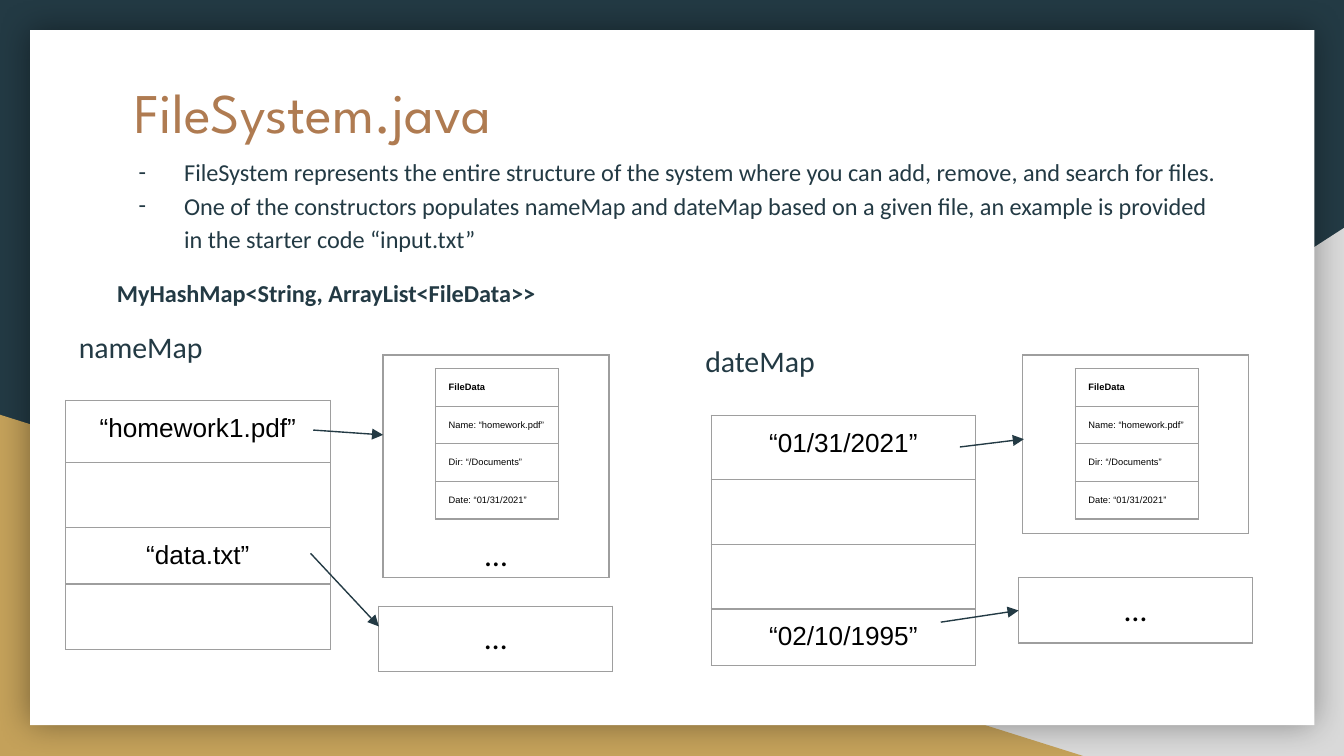
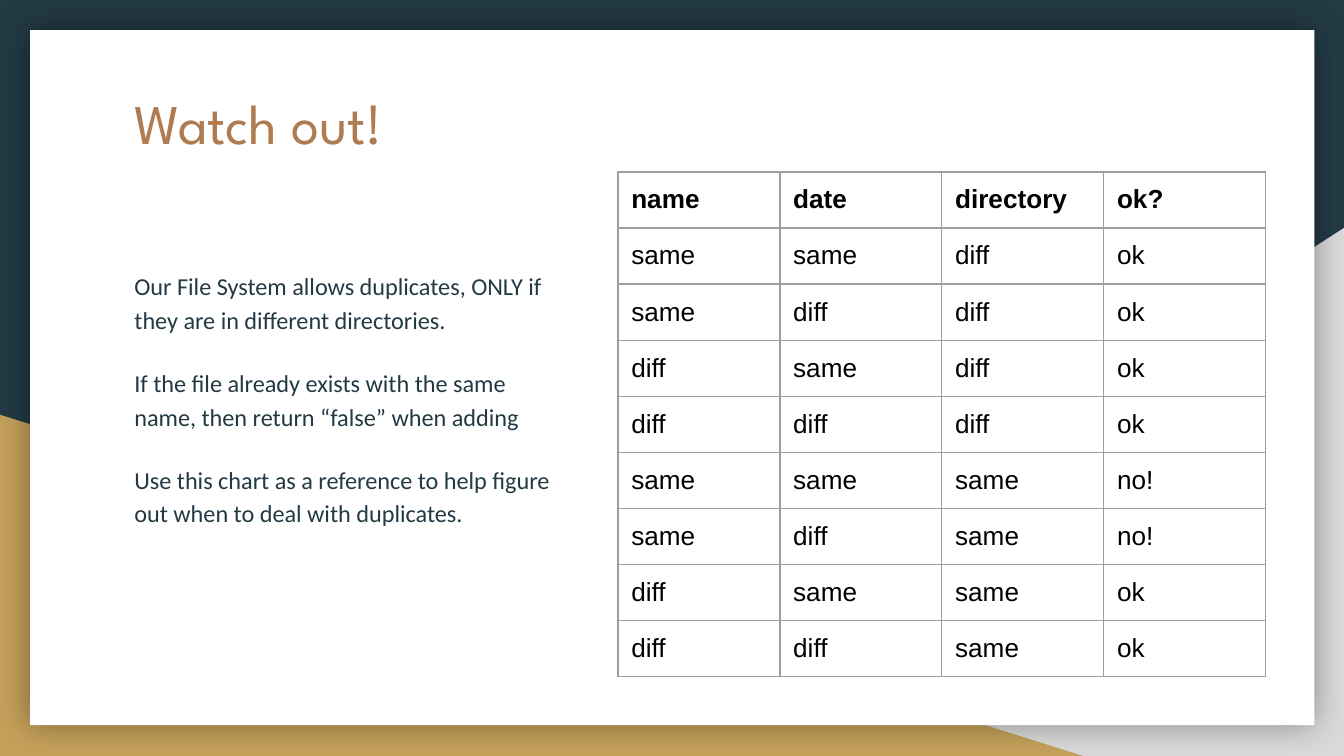
import dataclasses

import pptx
import pptx.dml.color
import pptx.enum.dml
import pptx.enum.shapes
import pptx.enum.text
import pptx.oxml.ns
import pptx.util
from lxml import etree

Cm = pptx.util.Cm
Pt = pptx.util.Pt
qn = pptx.oxml.ns.qn
RGBColor = pptx.dml.color.RGBColor
ALIGN = pptx.enum.text.PP_ALIGN
SHAPE = pptx.enum.shapes.MSO_SHAPE

NAVY = RGBColor(0x23, 0x3A, 0x44)
GOLD = RGBColor(0xC4, 0xA1, 0x5A)
SILVER = RGBColor(0xD9, 0xD9, 0xD9)
BRONZE = RGBColor(0xAF, 0x7B, 0x51)
GRID = RGBColor(0x9E, 0x9E, 0x9E)
WHITE = RGBColor(0xFF, 0xFF, 0xFF)
BLACK = RGBColor(0, 0, 0)

TITLE_FONT, BODY_FONT, TABLE_FONT = "League Spartan", "Calibri", "Arial"
INSET = Cm(0.25)

FILE_CARD = ["FileData", "Name: “homework.pdf”", "Dir: “/Documents”",
             "Date: “01/31/2021”"]
DUPLICATES = [
    ["name", "date", "directory", "ok?"],
    ["same", "same", "diff", "ok"],
    ["same", "diff", "diff", "ok"],
    ["diff", "same", "diff", "ok"],
    ["diff", "diff", "diff", "ok"],
    ["same", "same", "same", "no!"],
    ["same", "diff", "same", "no!"],
    ["diff", "same", "same", "ok"],
    ["diff", "diff", "same", "ok"],
]


@dataclasses.dataclass
class MapDiagram:
    """A hash map and its lists; all offsets are cm from left, top."""
    label: str
    left: float
    top: float
    keys: list
    key_heights: list
    keys_at: tuple
    files_at: tuple
    files_height: float
    more_at: tuple
    arrows: list
    has_dots: bool = False


NAME_MAP = MapDiagram(
    "nameMap", 1.24, 5.87, ["“homework1.pdf”", "", "“data.txt”", ""],
    [1.17, 1.23, 1.07, 1.23], (0, 1.7), (6, 0.84), 4.2, (5.92, 5.59),
    [(4.68, 2.26, 6, 2.35), (4.63, 4.59, 5.92, 5.97)], has_dots=True)
DATE_MAP = MapDiagram(
    "dateMap", 13.08, 6.12, ["“01/31/2021”", "", "", "“02/10/1995”"],
    [1.22, 1.22, 1.22, 1.07], (0.36, 1.73), (6.25, 0.59), 3.38, (6.17, 4.8),
    [(5.06, 2.33, 6.27, 2.18), (4.7, 5.64, 6.17, 5.42)])


def style_font(para, name, size, color, bold=False):
    font = para.font
    font.name, font.size, font.bold = name, Pt(size), bold
    font.color.rgb = color


def prepare_frame(shape):
    """Give a text shape the common insets, wrapping and top anchor."""
    frame = shape.text_frame
    frame.word_wrap = True
    frame.auto_size = pptx.enum.text.MSO_AUTO_SIZE.NONE
    frame.vertical_anchor = pptx.enum.text.MSO_ANCHOR.TOP
    frame.margin_left = frame.margin_right = INSET
    frame.margin_top = frame.margin_bottom = INSET
    return frame


def place(shape, left, top, width, height):
    shape.left, shape.top = Cm(left), Cm(top)
    shape.width, shape.height = Cm(width), Cm(height)


def add_background(deck, page):
    """Draw the backdrop and move it behind everything on the master."""
    master = deck.slide_master
    master.background.fill.solid()
    master.background.fill.fore_color.rgb = NAVY
    parts = [
        (SHAPE.RIGHT_TRIANGLE, SILVER, (9.96, 4.31, 15.44, 9.98)),
        (SHAPE.RIGHT_TRIANGLE, GOLD, (0, 7.84, 20.47, 6.45)),
        (SHAPE.RECTANGLE, WHITE, (0.57, 0.57, 24.27, 13.14)),
    ]
    shapes = []
    for order, (kind, color, box) in enumerate(parts):
        shape = page.shapes.add_shape(kind, *map(Cm, box))
        shape.fill.solid()
        shape.fill.fore_color.rgb = color
        shape.line.fill.background()
        shape.shadow.inherit = False
        shape.element.nvSpPr.cNvPr.set("id", str(101 + order))
        shapes.append(shape)
    corner, _, panel = shapes
    corner.element.spPr.find(qn("a:xfrm")).set("flipH", "1")
    effects = panel.element.spPr.find(qn("a:effectLst"))
    shadow = etree.SubElement(effects, qn("a:outerShdw"), blurRad=str(Pt(18)),
                              dist="0", dir="0", algn="ctr", rotWithShape="0")
    tint = etree.SubElement(shadow, qn("a:srgbClr"), val=str(BLACK))
    etree.SubElement(tint, qn("a:alpha"), val="40000")
    for order, shape in enumerate(shapes):
        master.shapes.element.insert(2 + order, shape.element)


def set_title(page, text, top):
    place(page.shapes.title, 2.29, top, 20.85, 2.64)
    frame = prepare_frame(page.shapes.title)
    frame.text = text
    para = frame.paragraphs[0]
    para.alignment = ALIGN.LEFT
    style_font(para, TITLE_FONT, 30, BRONZE)


def write_body(shape, paragraphs):
    """Fill a frame from (text, space before, is bullet, is bold, size)."""
    frame = prepare_frame(shape)
    for order, (text, before, bullet, bold, size) in enumerate(paragraphs):
        para = frame.add_paragraph() if order else frame.paragraphs[0]
        para.text = text
        props = para._p.get_or_add_pPr()
        props.set("marL", str(Cm(1.27) if bullet else 0))
        props.set("indent", str(Cm(-0.86) if bullet else 0))
        if bullet:
            tint = etree.SubElement(props, qn("a:buClr"))
            etree.SubElement(tint, qn("a:srgbClr"), val=str(NAVY))
            etree.SubElement(props, qn("a:buFont"), typeface=BODY_FONT)
            etree.SubElement(props, qn("a:buChar"), char="-")
        else:
            etree.SubElement(props, qn("a:buNone"))
        para.alignment = ALIGN.LEFT
        para.line_spacing = 1.15
        para.space_before = Pt(before)
        style_font(para, BODY_FONT, size, NAVY, bold)


def format_cell(cell):
    props = cell._tc.get_or_add_tcPr()
    for side in ("lnL", "lnR", "lnT", "lnB"):
        line = etree.SubElement(props, qn("a:" + side), w=str(Pt(0.75)))
        fill = etree.SubElement(line, qn("a:solidFill"))
        etree.SubElement(fill, qn("a:srgbClr"), val=str(GRID))
    cell.fill.background()


def add_grid(page, left, top, col_width, heights, rows, size=14,
             font=TABLE_FONT, align=ALIGN.LEFT, header=False):
    """Add a plain ruled table with equal columns."""
    columns = len(rows[0])
    table = page.shapes.add_table(
        len(rows), columns, Cm(left), Cm(top), Cm(col_width * columns),
        Cm(sum(heights))).table
    table.first_row = table.horz_banding = False
    for column in table.columns:
        column.width = Cm(col_width)
    for r, (height, texts) in enumerate(zip(heights, rows)):
        table.rows[r].height = Cm(height)
        for c, text in enumerate(texts):
            cell = table.cell(r, c)
            format_cell(cell)
            if text:
                cell.margin_left = cell.margin_right = INSET
                cell.margin_top = cell.margin_bottom = INSET
                cell.text = text
            para = cell.text_frame.paragraphs[0]
            para.alignment = align
            style_font(para, font, size, BLACK, header and r == 0)


def add_arrow(page, start_x, start_y, end_x, end_y):
    arrow = page.shapes.add_connector(
        pptx.enum.shapes.MSO_CONNECTOR.STRAIGHT,
        Cm(start_x), Cm(start_y), Cm(end_x), Cm(end_y))
    arrow.line.color.rgb = NAVY
    arrow.line.width = Pt(0.75)
    etree.SubElement(arrow.line._get_or_add_ln(), qn("a:tailEnd"),
                     type="triangle")
    etree.SubElement(arrow.element.spPr, qn("a:effectLst"))


def add_dots(page, left, top):
    box = page.shapes.add_textbox(Cm(left), Cm(top), Cm(2.95), Cm(1.24))
    frame = prepare_frame(box)
    frame.text = "…"
    para = frame.paragraphs[0]
    para.alignment = ALIGN.CENTER
    style_font(para, BODY_FONT, 17, BLACK)


def add_map(page, diagram):
    def at(offset):
        return diagram.left + offset[0], diagram.top + offset[1]

    label = page.shapes.add_textbox(Cm(diagram.left), Cm(diagram.top),
                                    Cm(7.75), Cm(6.81))
    write_body(label, [(diagram.label, 0, False, False, 16)])
    add_grid(page, *at(diagram.keys_at), 5, diagram.key_heights,
             [[key] for key in diagram.keys], align=ALIGN.CENTER)
    left, top = at(diagram.files_at)
    add_grid(page, left, top, 4.27, [diagram.files_height], [[""]])
    add_grid(page, left + 0.99, top + 0.26, 2.33, [0.71] * len(FILE_CARD),
             [[line] for line in FILE_CARD], size=5, header=True)
    if diagram.has_dots:
        add_dots(page, left + 0.66, top + 3.15)
    add_grid(page, *at(diagram.more_at), 4.42, [1.23], [["…"]], size=17,
             font=BODY_FONT, align=ALIGN.CENTER)
    for arrow in diagram.arrows:
        add_arrow(page, *at(arrow[:2]), *at(arrow[2:]))


def build_file_system(page):
    set_title(page, "FileSystem.java", 1.22)
    body = page.placeholders[1]
    place(body, 1.96, 2.64, 21.49, 3.28)
    write_body(body, [
        ("FileSystem represents the entire structure of the system where you "
         "can add, remove, and search for files.", 0, True, False, 13),
        ("One of the constructors populates nameMap and dateMap based on a "
         "given file, an example is provided in the starter code “input.txt”",
         0, True, False, 13),
        ("MyHashMap<String, ArrayList<FileData>>", 11, False, True, 13),
    ])
    for diagram in (NAME_MAP, DATE_MAP):
        add_map(page, diagram)


def build_watch_out(page):
    set_title(page, "Watch out!", 1.42)
    body = page.placeholders[1]
    place(body, 2.29, 4.8, 8.51, 6.81)
    notes = [
        "Our File System allows duplicates, ONLY if they are in different "
        "directories.",
        "If the file already exists with the same name, then return “false” "
        "when adding",
        "Use this chart as a reference to help figure out when to deal with "
        "duplicates.",
    ]
    write_body(body, [(note, 16 if order else 0, False, False, 13)
                      for order, note in enumerate(notes)])
    add_grid(page, 11.68, 3.25, 3.06, [1.06] * len(DUPLICATES), DUPLICATES,
             header=True)


def main():
    deck = pptx.Presentation()
    deck.slide_width, deck.slide_height = Cm(25.4), Cm(14.29)
    layout = deck.slide_layouts[1]
    pages = [deck.slides.add_slide(layout) for _ in range(2)]
    add_background(deck, pages[0])
    build_file_system(pages[0])
    build_watch_out(pages[1])
    deck.save("out.pptx")


if __name__ == "__main__":
    main()
